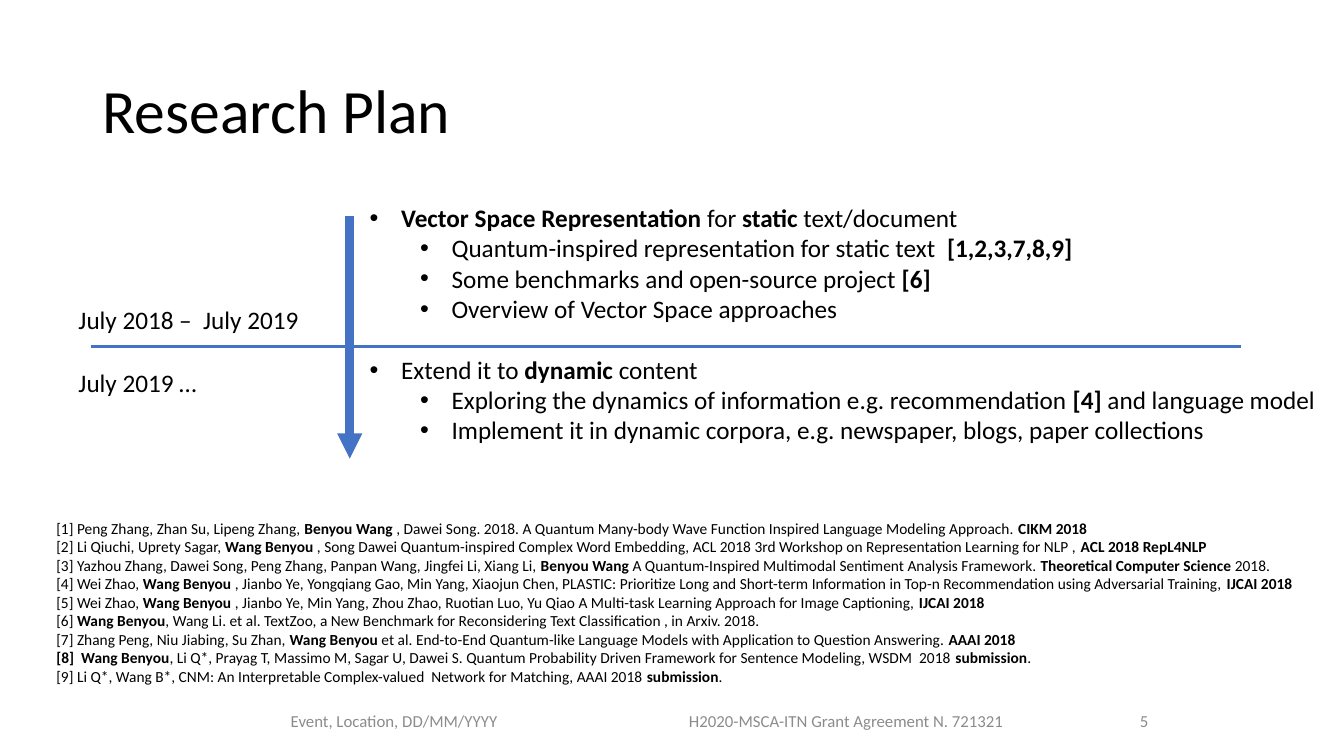
from dataclasses import dataclass

from lxml import etree
from pptx import Presentation
from pptx.dml.color import RGBColor
from pptx.enum.shapes import MSO_CONNECTOR
from pptx.enum.text import MSO_ANCHOR, MSO_AUTO_SIZE, PP_ALIGN
from pptx.oxml.ns import qn
from pptx.util import Pt

LEFT, CENTER = PP_ALIGN.LEFT, PP_ALIGN.CENTER
TOP, MIDDLE = MSO_ANCHOR.TOP, MSO_ANCHOR.MIDDLE
NO_FIT = MSO_AUTO_SIZE.NONE
STRAIGHT = MSO_CONNECTOR.STRAIGHT


@dataclass(frozen=True)
class Theme:
    font: str = "Calibri"
    ink: RGBColor = RGBColor(0x00, 0x00, 0x00)
    gray: RGBColor = RGBColor(0x8C, 0x8C, 0x8C)
    blue: RGBColor = RGBColor(0x44, 0x72, 0xC4)
    title: int = 44
    body: int = 18
    foot: int = 12
    note: int = 11


THEME = Theme()

# Bars switch bold on and off
PLAN = [
    (0, 0, "|Vector Space Representation |for |static| text/document"),
    (1, 0, "Quantum-inspired representation for static text  |[1,2,3,7,8,9]"),
    (1, 0, "Some benchmarks and open-source project |[6]"),
    (1, 0, "Overview of Vector Space approaches"),
    (0, 22, "Extend it to |dynamic| content"),
    (1, 0, "Exploring the dynamics of information e.g. recommendation |[4]| and language model"),
    (1, 0, "Implement it in dynamic corpora, e.g. newspaper, blogs, paper collections"),
]

PAPERS = [
    "[1] Peng Zhang, Zhan Su, Lipeng Zhang, |Benyou Wang| , Dawei Song. 2018. "
    "A Quantum Many-body Wave Function Inspired Language Modeling Approach.| CIKM 2018",
    "[2] Li Qiuchi, Uprety Sagar, |Wang Benyou| , Song Dawei Quantum-inspired Complex Word "
    "Embedding, ACL 2018 3rd Workshop on Representation Learning for NLP , |ACL 2018 RepL4NLP",
    "[3] Yazhou Zhang, Dawei Song, Peng Zhang, Panpan Wang, Jingfei Li, Xiang Li, |Benyou Wang| "
    "A Quantum-Inspired Multimodal Sentiment Analysis Framework. "
    "|Theoretical Computer Science| 2018.",
    "[4] Wei Zhao, |Wang Benyou| , Jianbo Ye, Yongqiang Gao, Min Yang, Xiaojun Chen, PLASTIC: "
    "Prioritize Long and Short-term Information in Top-n Recommendation using Adversarial "
    "Training,| IJCAI 2018",
    "[5] Wei Zhao,| Wang Benyou| , Jianbo Ye, Min Yang, Zhou Zhao, Ruotian Luo, Yu Qiao "
    "A Multi-task Learning Approach for Image Captioning,| IJCAI 2018",
    "[6] |Wang Benyou|, Wang Li. et al. TextZoo, a New Benchmark for Reconsidering "
    "Text Classification , in Arxiv. 2018.",
    "[7] Zhang Peng, Niu Jiabing, Su Zhan, |Wang Benyou| et al. End-to-End Quantum-like "
    "Language Models with Application to Question Answering. |AAAI 2018",
    "|[8]  Wang Benyou|, Li Q*, Prayag T, Massimo M, Sagar U, Dawei S. Quantum Probability "
    "Driven Framework for Sentence Modeling, WSDM  2018 |submission|.",
    "[9] Li Q*, Wang B*, CNM: An Interpretable Complex-valued  Network for Matching, "
    "AAAI 2018 |submission|.",
]

FEET = [
    (121.7, 319.7, "Event, Location, DD/MM/YYYY"),
    (476, 257, "H2020-MSCA-ITN Grant Agreement N. 721321"),
    (799.2, 36, "5"),
]

DATES = [(213.8, "July 2018 –  July 2019"), (258.5, "July 2019 …")]


def apply(item, look):
    for name, value in look.items():
        setattr(item, name, value)


def place(shape, box):
    names = ("left", "top", "width", "height")
    apply(shape, dict(zip(names, map(Pt, box))))


def write(para, text, size, color):
    for i, part in enumerate(text.split("|")):
        if part:
            run = para.add_run()
            run.text = part
            apply(run.font, {"name": THEME.font, "size": Pt(size), "bold": i % 2 == 1})
            run.font.color.rgb = color


def fill(shape, lines, size, color=THEME.ink, align=LEFT, anchor=TOP):
    frame = shape.text_frame
    apply(frame, {"word_wrap": True, "auto_size": NO_FIT, "vertical_anchor": anchor})
    for i, text in enumerate(lines):
        para = frame.add_paragraph() if i else frame.paragraphs[0]
        para.alignment = align
        write(para, text, size, color)
    return frame.paragraphs


def label(slide, box, lines, size, **look):
    shape = slide.shapes.add_textbox(*map(Pt, box))
    return fill(shape, lines, size, **look)


def bullet(para, level, gap):
    apply(para, {"level": level, "space_before": Pt(gap)})
    props = para._p.get_or_add_pPr()
    props.set("marL", str(Pt(22.5 + 36 * level)))
    props.set("indent", str(Pt(-22.5)))
    etree.SubElement(props, qn("a:buFont"), typeface="Arial")
    etree.SubElement(props, qn("a:buChar"), char="•")


def rule(slide, ends, width, arrow=False):
    line = slide.shapes.add_connector(STRAIGHT, *map(Pt, ends))
    line.line.color.rgb = THEME.blue
    line.line.width = Pt(width)
    if arrow:
        etree.SubElement(line.line._get_or_add_ln(), qn("a:tailEnd"), type="triangle")
    etree.SubElement(line._element.spPr, qn("a:effectLst"))


def main():
    deck = Presentation()
    apply(deck, {"slide_width": Pt(960), "slide_height": Pt(540)})
    slide = deck.slides.add_slide(deck.slide_layouts[5])

    # Title
    title = slide.shapes.title
    place(title, (66, 28.8, 828, 104.4))
    fill(title, ["Research Plan"], THEME.title, anchor=MIDDLE)[0].line_spacing = 0.9

    # Footer
    for left, width, text in FEET:
        label(slide, (left, 500.4, width, 28.8), [text], THEME.foot,
              color=THEME.gray, align=CENTER, anchor=MIDDLE)

    # Plan
    paras = label(slide, (257, 141.1, 703, 203.8), [row[2] for row in PLAN], THEME.body)
    for para, (level, gap, _) in zip(paras, PLAN):
        bullet(para, level, gap)

    # Timeline
    rule(slide, (64.8, 247.7, 886.3, 247.7), 2.25)
    rule(slide, (249.8, 154.1, 249.8, 327.6), 6, arrow=True)
    for top, text in DATES:
        label(slide, (49, top, 185, 28.8), [text], THEME.body)

    # References
    label(slide, (33.1, 367.2, 926, 154), PAPERS, THEME.note)

    deck.save("out.pptx")


main()
